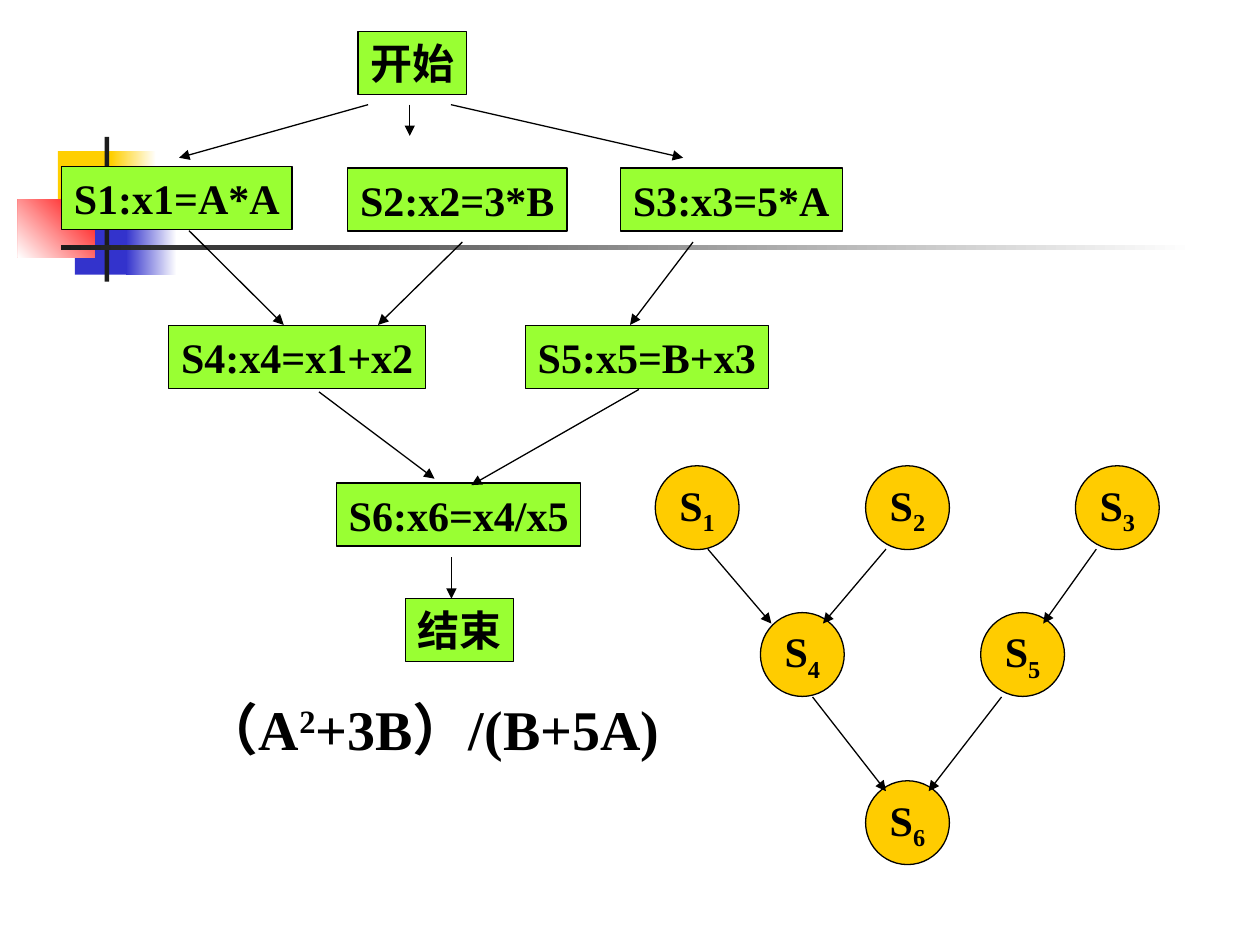
from pptx import Presentation
from pptx.dml.color import RGBColor
from pptx.enum.shapes import MSO_CONNECTOR as CONN, MSO_SHAPE as SHAPE
from pptx.enum.text import MSO_ANCHOR as ANCHOR, MSO_AUTO_SIZE as FIT, PP_ALIGN as ALIGN
from pptx.oxml.ns import qn
from pptx.util import Cm, Pt
from lxml.etree import SubElement

THEME = {
    "font": "Times New Roman", "ink": "000000", "line": 0.75,
    "box": "99FF33", "circle": "FFCC00", "label": 24, "formula": 32,
    "yellow": "FFCF01", "blue": "3333CC", "red": "FF0000",
    "dark": "1C1C1C", "white": "FFFFFF",
}

# Lengths in cm: left, top, width, height, colours, clockwise gradient angle
DECOR = [
    (1.17, 3.05, 1.22, 1.32, ["yellow"], None),
    (2.24, 3.05, 0.91, 1.32, ["white", "yellow"], 180),
    (1.51, 4.22, 1.17, 1.32, ["blue"], None),
    (2.54, 4.22, 1.02, 1.32, ["white", "blue"], 180),
    (0.36, 4.02, 1.55, 1.17, ["red", "white"], 135),
    (2.11, 2.76, 0.09, 2.92, ["dark"], None),
    (1.23, 4.94, 22.86, 0.1, ["white", "dark"], 180),
]

# Statement, left, top, width
BOX_H = 1.27
BOXES = [
    ("S1:x1=A*A", 1.24, 3.36, 4.65),
    ("S2:x2=3*B", 7.01, 3.39, 4.42),
    ("S3:x3=5*A", 12.51, 3.39, 4.47),
    ("S4:x4=x1+x2", 3.4, 6.56, 5.18),
    ("S5:x5=B+x3", 10.59, 6.56, 4.9),
    ("S6:x6=x4/x5", 6.78, 9.74, 4.93),
    ("开始", 7.22, 0.64, 2.18),
    ("结束", 8.17, 12.07, 2.18),
]
FLOW_ARROWS = [
    (3.81, 4.65, 5.72, 6.55), (9.32, 4.88, 7.62, 6.55),
    (13.97, 4.88, 12.7, 6.55), (6.43, 7.9, 8.76, 9.65),
    (12.88, 7.85, 9.5, 9.78), (7.42, 2.11, 3.61, 3.18),
    (8.26, 2.11, 8.26, 2.74), (9.09, 2.11, 13.77, 3.18),
    (9.1, 11.23, 9.1, 12.07),
]

# Graph rows: top, then (index, left) of each node
CIRCLE_D = 1.69
GRAPH_ROWS = [
    (9.39, [("1", 13.21), ("2", 17.45), ("3", 21.68)]),
    (12.35, [("4", 15.33), ("5", 19.77)]),
    (15.74, [("6", 17.45)]),
]
GRAPH_ARROWS = [
    (14.27, 11.07, 15.55, 12.57), (17.86, 11.07, 16.59, 12.57),
    (22.1, 11.07, 21.03, 12.57), (16.38, 14.05, 17.86, 15.95),
    (20.19, 14.05, 18.72, 15.95),
]

# Runs: text, baseline shift in percent
FORMULA = [("（A", 0), ("2", 30), ("+3B）/(B+5A)", 0)]
FORMULA_AT = (3.84, 13.87, 10.52, 1.63)


def rgb(key):
    return RGBColor.from_string(THEME[key])


def set_line(line):
    line.color.rgb = rgb("ink")
    line.width = Pt(THEME["line"])


def set_text(sp, runs, size, **layout):
    tf = sp.text_frame
    align = layout.pop("align", ALIGN.LEFT)
    # The open right margin keeps each line whole in its tight frame
    frame = {"word_wrap": True, "auto_size": FIT.NONE,
             "vertical_anchor": ANCHOR.TOP, "margin_right": 0} | layout
    for name, value in frame.items():
        setattr(tf, name, value)
    p = tf.paragraphs[0]
    p.alignment = align
    fmt = {"name": THEME["font"], "size": Pt(THEME[size]), "bold": True}
    for text, shift in runs:
        r = p.add_run()
        r.text = text
        for name, value in fmt.items():
            setattr(r.font, name, value)
        r.font.color.rgb = rgb("ink")
        if shift:
            r._r.get_or_add_rPr().set("baseline", str(shift * 1000))


def add_shape(s, kind, at, colours, angle=None, outlined=False):
    sp = s.shapes.add_shape(kind, *map(Cm, at))
    sp.shadow.inherit = False
    if angle is None:
        sp.fill.solid()
        sp.fill.fore_color.rgb = rgb(colours[0])
    else:
        sp.fill.gradient()
        sp.fill.gradient_angle = 360 - angle
        for stop, colour in zip(sp.fill.gradient_stops, colours):
            stop.color.rgb = rgb(colour)
    if outlined:
        set_line(sp.line)
    else:
        sp.line.fill.background()
    return sp


def add_arrow(s, ends):
    c = s.shapes.add_connector(CONN.STRAIGHT, *map(Cm, ends))
    set_line(c.line)
    SubElement(c.line._get_or_add_ln(), qn("a:tailEnd"), type="triangle")
    SubElement(c._element.spPr, qn("a:effectLst"))


def main():
    prs = Presentation()
    prs.slide_width, prs.slide_height = Cm(25.4), Cm(19.05)
    s = prs.slides.add_slide(prs.slide_layouts[6])

    for *at, colours, angle in DECOR:
        add_shape(s, SHAPE.RECTANGLE, at, colours, angle)

    for top, nodes in GRAPH_ROWS:
        for index, left in nodes:
            at = (left, top, CIRCLE_D, CIRCLE_D)
            sp = add_shape(s, SHAPE.OVAL, at, ["circle"], outlined=True)
            set_text(sp, [("S", 0), (index, -25)], "label", word_wrap=False,
                     vertical_anchor=ANCHOR.MIDDLE, margin_right=Cm(0.25),
                     align=ALIGN.CENTER)

    for text, *at in BOXES:
        sp = add_shape(s, SHAPE.RECTANGLE, (*at, BOX_H), ["box"], outlined=True)
        set_text(sp, [(text, 0)], "label")

    for ends in GRAPH_ARROWS + FLOW_ARROWS:
        add_arrow(s, ends)

    formula = s.shapes.add_textbox(*map(Cm, FORMULA_AT))
    set_text(formula, FORMULA, "formula")
    prs.save("out.pptx")


if __name__ == "__main__":
    main()
